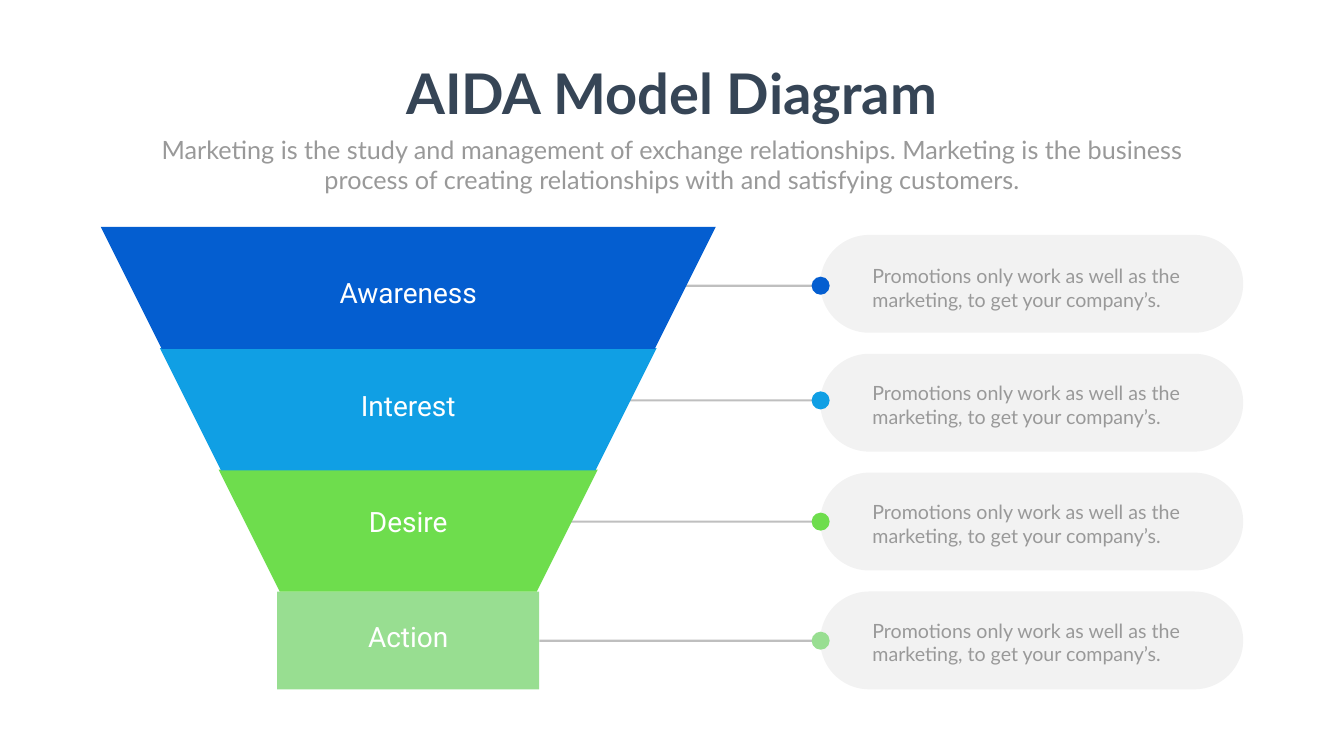
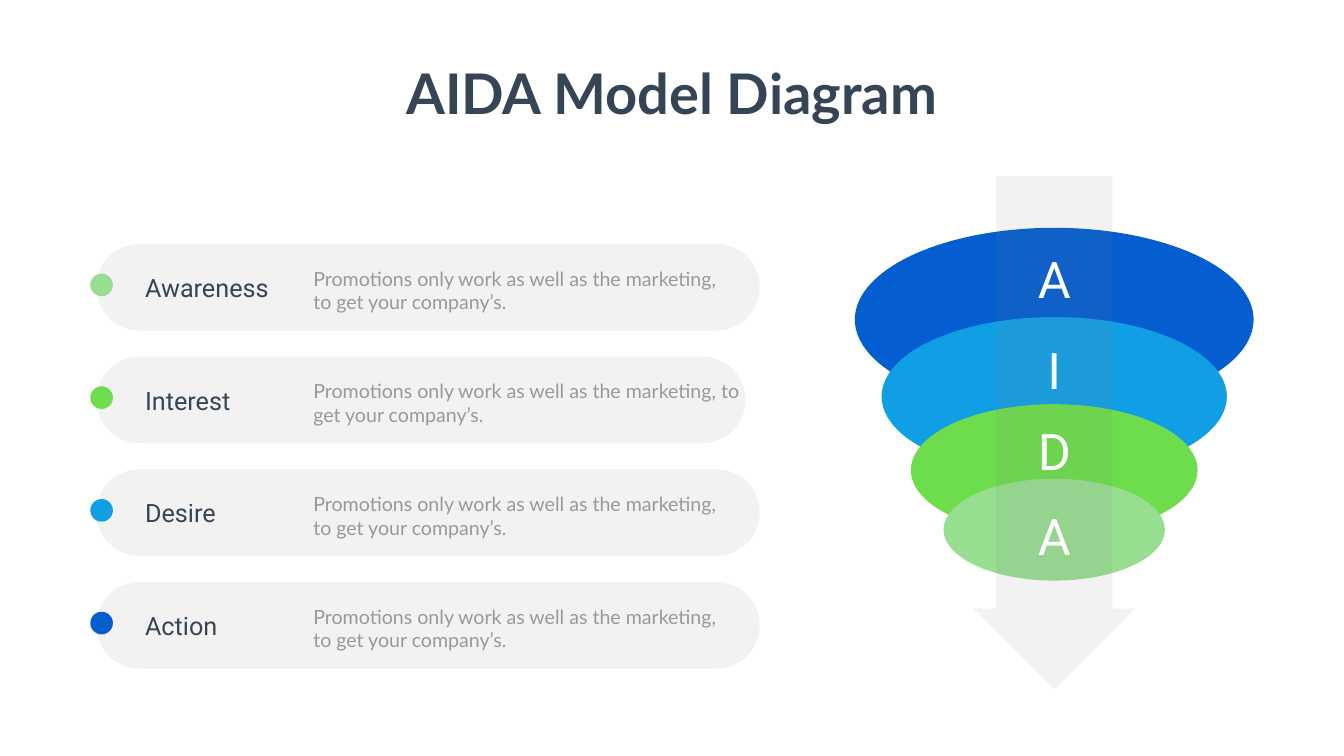
"""Builds two AIDA model slides: a trapezoid funnel and a stack of ellipses."""
from lxml import etree
from pptx import Presentation
from pptx import util as u
from pptx.dml.color import RGBColor
from pptx.enum import shapes, text
from pptx.oxml.ns import qn

COLOURS = {
    "dark": "364556", "muted": "999999", "grey": "808080", "white": "FFFFFF",
    "blue": "045ED0", "sky": "109FE4", "green": "6EDD4D", "mint": "98DE91",
}
STAGES = ["Awareness", "Interest", "Desire", "Action"]
STAGE_COLOURS = ["blue", "sky", "green", "mint"]
PROMOTION = "Promotions only work as well as the marketing, to get your company\u2019s."
KIND = shapes.MSO_SHAPE
CENTRE = text.PP_ALIGN.CENTER
LEFT = text.PP_ALIGN.LEFT


class Designer:
    def __init__(self, deck):
        self.deck = deck
        self.page = None

    def new_page(self, title):
        self.page = self.deck.slides.add_slide(self.deck.slide_layouts[5])
        box = self.page.shapes.title
        box.left, box.top, box.width, box.height = map(u.Cm, (19.96, 2.84, 27.79, 3.68))
        self.set_words(box, title, 80, "Lato", "dark", CENTRE, bold=True)

    def colour(self, name):
        return RGBColor.from_string(COLOURS[name])

    def fade(self, shape, percent):
        for colour in shape.element.spPr.iter(qn("a:srgbClr")):
            etree.SubElement(colour, qn("a:alpha"), val=str(percent * 1000))

    def set_words(self, box, words, size, font, colour, align, bold=False):
        frame = box.text_frame
        frame.text = words
        frame.word_wrap = True
        frame.auto_size = text.MSO_AUTO_SIZE.NONE
        frame.vertical_anchor = text.MSO_ANCHOR.TOP
        para = frame.paragraphs[0]
        para.alignment = align
        span = para.runs[0].font
        span.size, span.name, span.bold = u.Pt(size), font, bold
        span.color.rgb = self.colour(colour)

    def label(self, left, top, width, height, words, size, font, colour, align=LEFT):
        box = self.page.shapes.add_textbox(*map(u.Cm, (left, top, width, height)))
        self.set_words(box, words, size, font, colour, align)

    def promotion(self, left, top, width):
        self.label(left, top, width, 2.64, PROMOTION, 28, "Lato", "muted")

    def shape(self, kind, left, top, width, height, colour, turn=0, adjust=(), opacity=100):
        shape = self.page.shapes.add_shape(kind, *map(u.Cm, (left, top, width, height)))
        shape.shadow.inherit = False
        shape.fill.solid()
        shape.fill.fore_color.rgb = self.colour(colour)
        shape.line.fill.background()
        shape.rotation = turn
        for index, value in enumerate(adjust):
            shape.adjustments[index] = value
        if opacity < 100:
            self.fade(shape, opacity)

    def pill(self, left, top, width, height):
        self.shape(KIND.ROUNDED_RECTANGLE, left, top, width, height, "grey",
                   adjust=[0.5], opacity=10)

    def dot(self, x, y, size, colour):
        self.shape(KIND.OVAL, x - size / 2, y - size / 2, size, size, colour)

    def leader(self, start, end, y):
        line = self.page.shapes.add_connector(
            shapes.MSO_CONNECTOR.STRAIGHT, *map(u.Cm, (start, y, end, y)))
        line.line.width = u.Pt(3)
        line.line.color.rgb = self.colour("grey")
        self.fade(line, 50)
        etree.SubElement(line.element.spPr, qn("a:effectLst"))


def funnel_page(design):
    design.new_page("AIDA Model Diagram")
    design.label(7.42, 6.63, 52.88, 3.33,
                 "Marketing is the study and management of exchange relationships. "
                 "Marketing is the business process of creating relationships with "
                 "and satisfying customers.", 36, "Lato", "muted", CENTRE)
    axis, pill_left = 20.57, 41.33
    line_starts = [31.83, 30.63, 28.19, 27.18]
    line_tops = [14.4, 20.18, 26.29, 32.29]
    for start, y in zip(line_starts, line_tops):
        design.leader(start, pill_left, y)

    design.shape(KIND.RECTANGLE, axis - 6.6, 29.82, 13.2, 4.93, "mint")
    for step, width in reversed(list(enumerate([30.99, 25.02, 19.1]))):
        design.shape(KIND.TRAPEZOID, axis - width / 2, 11.43 + 6.12 * step, width, 6.15,
                     STAGE_COLOURS[step], turn=180, adjust=[0.5])

    label_tops = [13.74, 19.48, 25.32, 31.12]
    promotion_tops = [13.18, 19.08, 25.07, 31.06]
    for step, stage in enumerate(STAGES):
        design.pill(pill_left, 11.84 + 5.99 * step, 21.31, 4.93)
        design.label(axis - 4.4, label_tops[step], 8.8, 1.96, stage, 40, "Roboto",
                     "white", CENTRE)
        design.promotion(43.71, promotion_tops[step], 17.04)
        design.dot(41.35, line_tops[step], 0.91, STAGE_COLOURS[step])


def ellipse_page(design):
    design.new_page("AIDA Model Diagram")
    axis = 53.12
    widths = [20.09, 17.4, 14.45, 11.15]
    tops = [11.48, 15.98, 20.37, 24.13]
    for width, top, colour in zip(widths, tops, STAGE_COLOURS):
        design.shape(KIND.OVAL, axis - width / 2, top, width, width * 0.46, colour)
    design.shape(KIND.RIGHT_ARROW, axis - 12.93, 17.75, 25.86, 8.13, "grey", turn=90,
                 adjust=[0.72, 0.5], opacity=10)
    for stage, top in zip(STAGES, [12.4, 16.97, 21.06, 25.32]):
        design.label(axis - 2.37, top, 4.75, 2.74, stage[0], 72, "Roboto", "white", CENTRE)

    pill_widths = [33.43, 32.72, 33.43, 33.43]
    promotion_widths = [21.56, 22.05, 21.56, 21.56]
    for step, (stage, colour) in enumerate(zip(STAGES, reversed(STAGE_COLOURS))):
        top = 12.29 + 5.68 * step
        design.pill(4.85, top, pill_widths[step], 4.37)
        design.promotion(15.54, top + 1.02, promotion_widths[step])
        design.label(7.06, top + 1.3, 8.79, 1.8, stage, 36, "Roboto", "dark")
        design.dot(5.12, top + 2.07, 1.14, colour)


deck = Presentation()
deck.slide_width, deck.slide_height = u.Cm(67.72), u.Cm(38.1)
design = Designer(deck)
funnel_page(design)
ellipse_page(design)
deck.save("out.pptx")
